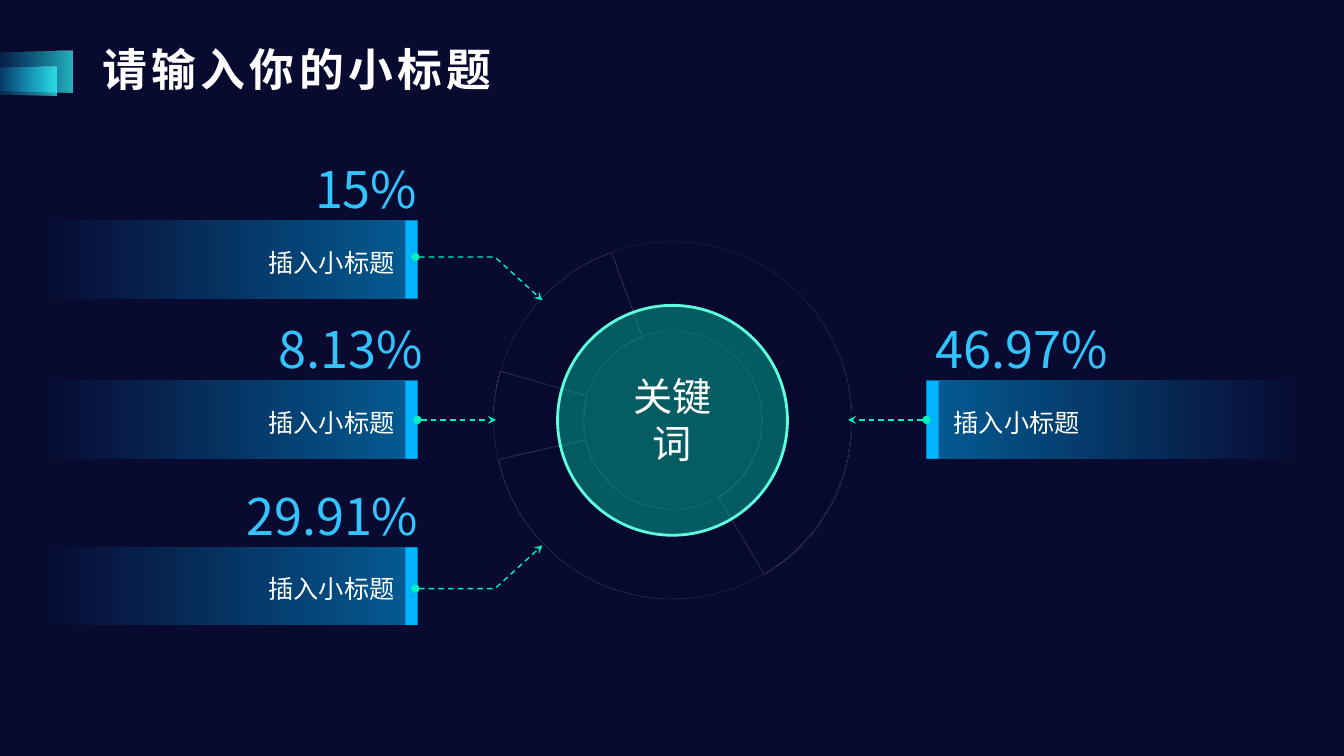
from lxml import etree
from pptx import Presentation
from pptx.chart.data import CategoryChartData
from pptx.dml.color import RGBColor
from pptx.enum.chart import XL_CHART_TYPE
from pptx.enum.dml import MSO_LINE
from pptx.enum.shapes import MSO_CONNECTOR, MSO_SHAPE
from pptx.enum.text import MSO_ANCHOR, PP_ALIGN
from pptx.oxml.ns import qn
from pptx.util import Inches, Pt

RECT, OVAL, TRAP = MSO_SHAPE.RECTANGLE, MSO_SHAPE.OVAL, MSO_SHAPE.TRAPEZOID
LEFT, MID, RIGHT = PP_ALIGN.LEFT, PP_ALIGN.CENTER, PP_ALIGN.RIGHT

TITLE = "请输入你的小标题"
HUB = "关键词"
LABEL = "插入小标题"
SHARES = [47, 30, 8, 15]
# share text, bar top, right edge of the share text, bar on the left side
ITEMS = [
    ("15%", 2.19, 4.14, True),
    ("8.13%", 3.78, 4.19, True),
    ("29.91%", 5.43, 4.15, True),
    ("46.97%", 3.78, 10.99, False),
]
TABS = [(0.07, 0.27, 0.41, 0.88), (0.05, 0.44, 0.29, 0.73)]
ELBOWS = [
    [(4.12, 2.55), (4.91, 2.55), (5.38, 2.98)],
    [(4.12, 5.84), (4.91, 5.84), (5.38, 5.41)],
]
BAR_W, BAR_H, EDGE_W = 3.78, 0.77, 0.12
LEFT_X, RIGHT_X = 0.36, 9.19
LINK = 0.78

THEME = {
    "font": "Noto Sans CJK JP",
    "back": "080A30", "text": "FFFFFF", "share": "33C3FF", "bar": "00B4FF",
    "mint": "00F0BE", "rim": "5DFFDD", "ring": "24264A",
    "tab": ("00B0F0", "32FFFF"),
    "title": 32, "number": 36, "hub": 28, "label": 18,
}


def rgb(key):
    return RGBColor.from_string(THEME[key])


def fade(fill, stops, angle):
    """Fill with a two-stop gradient; stops are (colour, opacity percent)."""
    fill.gradient()
    fill.gradient_angle = -angle % 360
    for stop, (color, alpha) in zip(fill.gradient_stops, stops):
        stop.color.rgb = RGBColor.from_string(color)
        for node in stop.color._xFill.iter(qn("a:srgbClr")):
            etree.SubElement(node, qn("a:alpha")).set("val", str(alpha * 1000))


def put(kind, x, y, w, h):
    shape = slide.shapes.add_shape(kind, Inches(x), Inches(y), Inches(w), Inches(h))
    shape.shadow.inherit = False
    shape.line.fill.background()
    return shape


def write(frame, text, size, color="text", align=LEFT, bold=False, space=0):
    frame.word_wrap = True
    para = frame.paragraphs[0]
    para.alignment = align
    run = para.add_run()
    run.text = text
    font = run.font
    font.name, font.size, font.bold = THEME["font"], Pt(THEME[size]), bold
    font.color.rgb = rgb(color)
    props = run._r.get_or_add_rPr()
    etree.SubElement(props, qn("a:ea")).set("typeface", THEME["font"])
    if space:
        props.set("spc", str(space * 100))
    return para


def box(x, y, w, h, text, size, inset=True, **style):
    frame = slide.shapes.add_textbox(Inches(x), Inches(y), Inches(w), Inches(h)).text_frame
    if not inset:
        frame.margin_left = frame.margin_right = 0
        frame.margin_top = frame.margin_bottom = 0
    write(frame, text, size, **style)
    return frame


def arrow(shape):
    """Dash the line, with a dot at its start and an arrowhead at its end."""
    line = shape.line
    line.color.rgb = rgb("mint")
    line.width = Pt(1)
    line.dash_style = MSO_LINE.DASH
    node = line._get_or_add_ln()
    etree.SubElement(node, qn("a:headEnd")).set("type", "oval")
    etree.SubElement(node, qn("a:tailEnd")).set("type", "stealth")


def ring():
    data = CategoryChartData()
    data.categories = [str(i + 1) for i in range(len(SHARES))]
    data.add_series("Series 1", SHARES)
    chart = slide.shapes.add_chart(
        XL_CHART_TYPE.DOUGHNUT, Inches(4.32), Inches(2.26), Inches(4.7), Inches(3.82), data).chart
    chart.has_legend = chart.has_title = False
    chart.font.name, chart.font.size = "Arial", Pt(10)
    plot = chart.plots[0]
    plot.vary_by_categories = False
    node = plot._element
    for tag, value in (("c:firstSliceAng", 340), ("c:holeSize", 74)):
        for old in node.findall(qn(tag)):
            node.remove(old)
        etree.SubElement(node, qn(tag)).set("val", str(value))
    for i, angle in enumerate((90, 180, 270, 315)):
        form = plot.series[0].points[i].format
        fade(form.fill, [(THEME["back"], 0), (THEME["back"], 100)], angle)
        form.line.color.rgb = rgb("ring")
        form.line.width = Pt(0.25)


def item(share, top, end, left):
    x = LEFT_X if left else RIGHT_X
    bar = put(RECT, x, top, BAR_W, BAR_H)
    fade(bar.fill, [(THEME["bar"], 50), (THEME["bar"], 0)], 180 if left else 0)
    edge = put(RECT, x + BAR_W - EDGE_W if left else x, top, EDGE_W, BAR_H)
    edge.fill.solid()
    edge.fill.fore_color.rgb = rgb("bar")
    box(end - 2.01, top - 0.62, 2.01, 0.61, share, "number", inset=False,
        color="share", align=RIGHT)
    box(1.32 if left else 9.36, top + 0.21, 2.69, 0.4, LABEL, "label",
        align=RIGHT if left else LEFT)
    return edge


def link(edge, left):
    x = LEFT_X + BAR_W if left else RIGHT_X
    tip = x + LINK if left else x - LINK
    y = edge.top + edge.height // 2
    line = slide.shapes.add_connector(MSO_CONNECTOR.STRAIGHT, Inches(x), y, Inches(tip), y)
    line.begin_connect(edge, 3 if left else 1)
    arrow(line)
    etree.SubElement(line._element.spPr, qn("a:effectLst"))


deck = Presentation()
deck.slide_width, deck.slide_height = Inches(13.33), Inches(7.5)
slide = deck.slides.add_slide(deck.slide_layouts[5])
slide.background.fill.solid()
slide.background.fill.fore_color.rgb = rgb("back")

title = slide.shapes.title
title.left, title.top, title.width, title.height = map(Inches, (0.92, 0.42, 11.5, 0.59))
title.text_frame.vertical_anchor = MSO_ANCHOR.MIDDLE
write(title.text_frame, TITLE, "title", bold=True, space=3).line_spacing = 0.9

for place in TABS:
    tab = put(TRAP, *place)
    tab.adjustments[0] = 0.07
    tab.rotation = 270
    fade(tab.fill, list(zip(THEME["tab"], (0, 70))), 90)

ring()
hub = put(OVAL, 5.53, 3.03, 2.28, 2.28)
hub.fill.solid()
hub.fill.fore_color.rgb = rgb("mint")
for node in hub.fill._xPr.find(qn("a:solidFill")):
    etree.SubElement(node, qn("a:alpha")).set("val", "36000")
hub.line.color.rgb = rgb("rim")
hub.line.width = Pt(2)
box(5.99, 3.88, 1.36, 0.57, HUB, "hub", align=MID).vertical_anchor = MSO_ANCHOR.MIDDLE

edges = [item(*row) for row in ITEMS]
for (first, *rest) in ELBOWS:
    pen = slide.shapes.build_freeform(*map(Inches, first))
    pen.add_line_segments([(Inches(x), Inches(y)) for x, y in rest], close=False)
    elbow = pen.convert_to_shape()
    elbow.shadow.inherit = False
    elbow.fill.background()
    arrow(elbow)
for edge, row in zip(edges, ITEMS):
    if row[1] == 3.78:
        link(edge, row[3])

deck.save("out.pptx")
